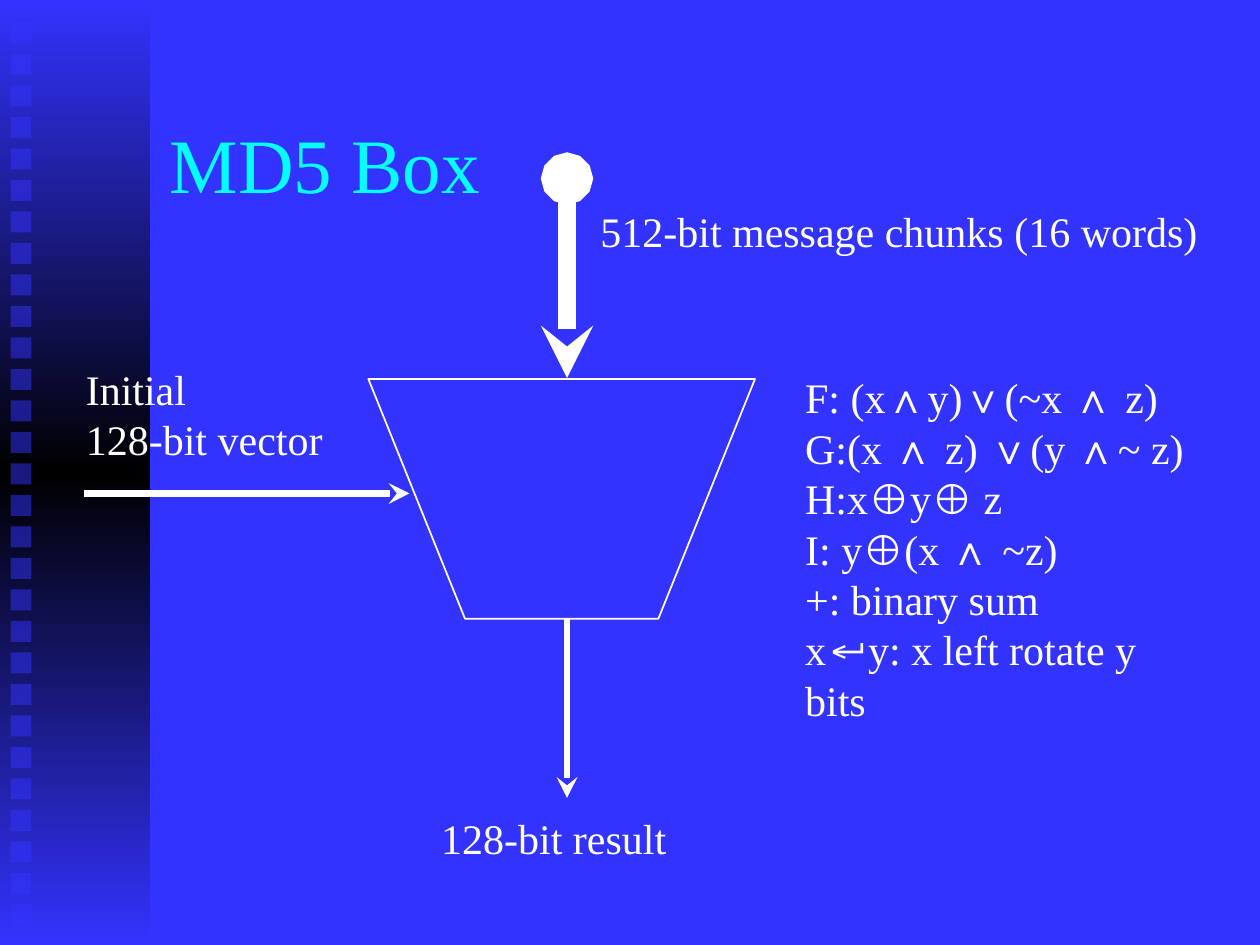
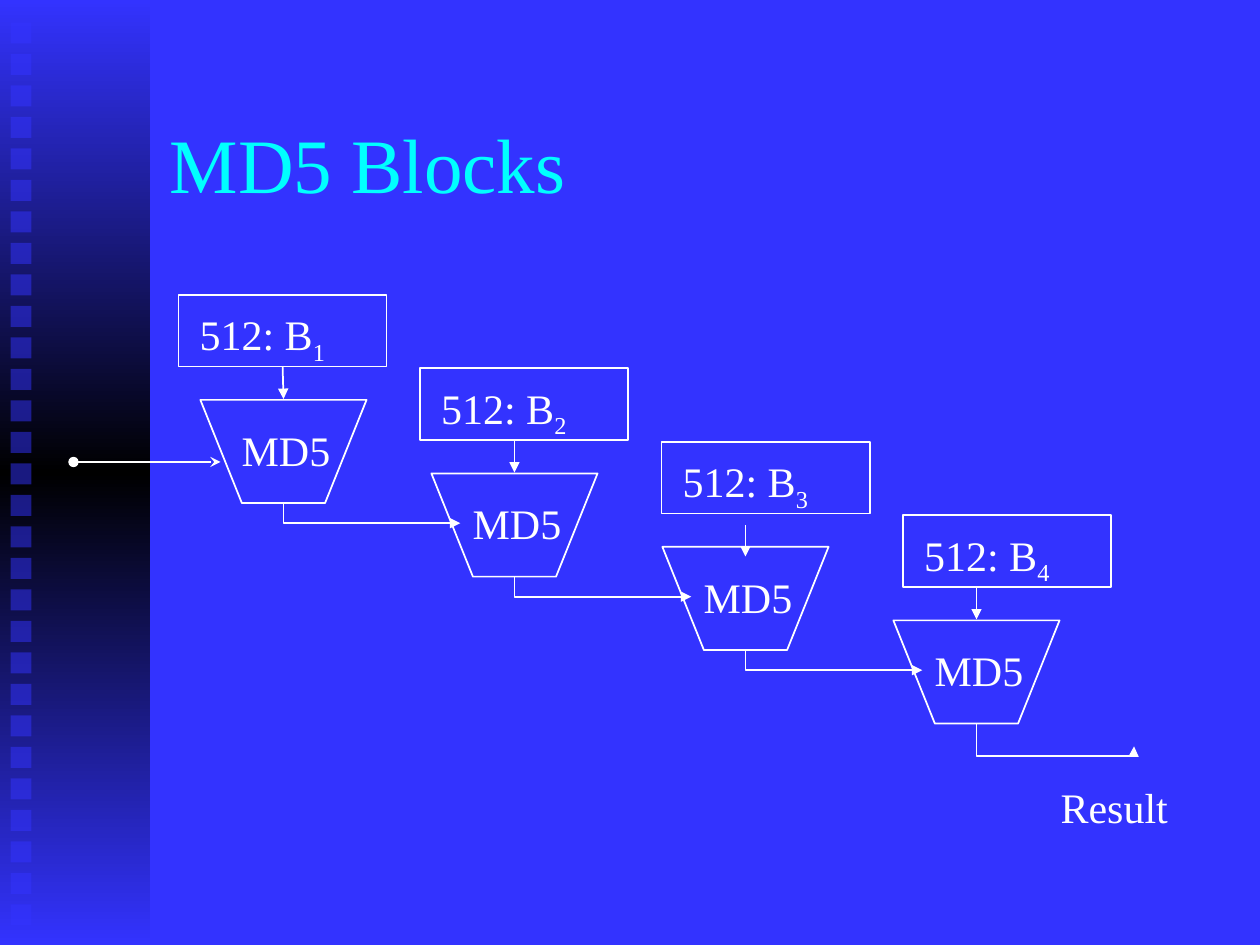
from copy import deepcopy
from itertools import groupby

from pptx import Presentation
from pptx.dml.color import RGBColor
from pptx.enum.shapes import MSO_CONNECTOR, MSO_SHAPE
from pptx.enum.text import MSO_ANCHOR
from pptx.oxml.ns import qn
from pptx.util import Pt

RECTANGLE = MSO_SHAPE.RECTANGLE
STRAIGHT = MSO_CONNECTOR.STRAIGHT
ELBOW = MSO_CONNECTOR.ELBOW
MIDDLE = MSO_ANCHOR.MIDDLE
TOP = MSO_ANCHOR.TOP

BLUE = "3333FF"
BLACK = "000000"
WHITE = "FFFFFF"
CYAN = "00FFFF"
SERIF = "Times New Roman"
SANS = "Arial"
OPERATORS = "∧∨⊕↵"
BODY = {"size": Pt(24), "name": SERIF}
TITLE = {"size": Pt(44), "name": SERIF}
INSETS = {
    "margin_left": Pt(7.2), "margin_right": Pt(7.2),
    "margin_top": Pt(3.6), "margin_bottom": Pt(3.6),
}
BOTTOM_SIDE = 2
FORMULAS = [
    "F: (x∧y)∨(~x ∧ z)",
    "G:(x ∧ z) ∨(y ∧~ z)",
    "H:x⊕y⊕ z",
    "I: y⊕(x ∧ ~z)",
    "+: binary sum",
    "x↵y: x left rotate y bits",
]


def rgb(colour):
    return RGBColor.from_string(colour)


def apply_format(target, values):
    for name, value in values.items():
        setattr(target, name, value)


def add_run(paragraph, text, style, colour):
    run = paragraph.add_run()
    run.text = text
    apply_format(run.font, style)
    run.font.color.rgb = rgb(colour)
    return run


def add_text(slide, box, lines, style=BODY, colour=WHITE, subscript="",
             wrap=False, anchor=TOP):
    frame = slide.shapes.add_textbox(*map(Pt, box)).text_frame
    apply_format(frame, {**INSETS, "word_wrap": wrap, "vertical_anchor": anchor})
    for index, line in enumerate(lines):
        paragraph = frame.add_paragraph() if index else frame.paragraphs[0]
        for is_operator, letters in groupby(line, lambda letter: letter in OPERATORS):
            font = {**style, "name": SANS} if is_operator else style
            add_run(paragraph, "".join(letters), font, colour)
    if subscript:
        lowered = add_run(paragraph, subscript, style, colour)
        lowered.font._element.set("baseline", "-25000")


def outline(shape):
    shape.shadow.inherit = False
    shape.fill.background()
    shape.line.color.rgb = rgb(WHITE)
    shape.line.width = Pt(1)


def add_frame(slide, box):
    frame = slide.shapes.add_shape(RECTANGLE, *map(Pt, box))
    outline(frame)
    return frame


def add_funnel(slide, left, top, width, height):
    right, bottom, inset = left + width, top + height, width / 4
    builder = slide.shapes.build_freeform(Pt(left), Pt(top))
    corners = [(right, top), (right - inset, bottom), (left + inset, bottom)]
    builder.add_line_segments([(Pt(x), Pt(y)) for x, y in corners], close=True)
    outline(builder.convert_to_shape())


def style_arrow(arrow, weight, tip, origin=None):
    arrow.line.color.rgb = rgb(WHITE)
    arrow.line.width = Pt(weight)
    properties = arrow.element.spPr
    stroke = properties.find(qn("a:ln"))
    for tag, kind in (("a:headEnd", origin), ("a:tailEnd", tip)):
        if kind:
            end = stroke.makeelement(qn(tag), {"type": kind})
            stroke.append(end)
    properties.append(properties.makeelement(qn("a:effectLst"), {}))


def add_arrow(slide, start, end, weight=1, tip="stealth", origin=None):
    arrow = slide.shapes.add_connector(STRAIGHT, *map(Pt, (*start, *end)))
    style_arrow(arrow, weight, tip, origin)
    return arrow


def add_elbow(slide, start, end, bend=None):
    run, drop = end[0] - start[0], end[1] - start[1]
    middle_x, middle_y = start[0] + run / 2, start[1] + drop / 2
    elbow = slide.shapes.add_connector(
        ELBOW, Pt(middle_x + drop / 2), Pt(middle_y - run / 2),
        Pt(middle_x - drop / 2), Pt(middle_y + run / 2))
    properties = elbow.element.spPr
    properties.find(qn("a:xfrm")).set("rot", "16200000")
    geometry = properties.find(qn("a:prstGeom"))
    if bend is None:
        geometry.set("prst", "bentConnector2")
    else:
        guides = geometry.find(qn("a:avLst"))
        if guides is None:
            guides = geometry.makeelement(qn("a:avLst"), {})
            geometry.append(guides)
        guides.append(guides.makeelement(
            qn("a:gd"), {"name": "adj1", "fmla": f"val {round(bend * 100000)}"}))
    style_arrow(elbow, 1, "triangle")


def add_band_shape(slide, box):
    shape = slide.shapes.add_shape(RECTANGLE, *map(Pt, box))
    shape.shadow.inherit = False
    shape.line.fill.background()
    return shape


def decorate_layout(layout, slide):
    for placeholder in list(layout.placeholders):
        layout.shapes.element.remove(placeholder.element)
    background = layout.background.fill
    background.solid()
    background.fore_color.rgb = rgb(BLUE)

    band = add_band_shape(slide, (0, 0, 85.5, 540))
    band.fill.gradient()
    band.fill.gradient_angle = 270
    stops = band.element.spPr.find(".//" + qn("a:gsLst"))
    stops.append(deepcopy(stops[0]))
    for stop, position, colour in zip(
            band.fill.gradient_stops, (0, 0.5, 1), (BLUE, BLACK, BLUE)):
        stop.position = position
        stop.color.rgb = rgb(colour)

    squares = [add_band_shape(slide, (6, 12.8 + 18 * row, 12, 12)) for row in range(29)]
    for square in squares:
        square.fill.solid()
        square.fill.fore_color.rgb = rgb(BLUE)
        tint = square.element.spPr.find(".//" + qn("a:srgbClr"))
        tint.append(tint.makeelement(qn("a:alpha"), {"val": "50000"}))
    for shape in [band, *squares]:
        layout.shapes.element.append(shape.element)


def add_title(slide, title):
    add_text(slide, (90, 48, 612, 90), [title], TITLE, CYAN, wrap=True, anchor=MIDDLE)


def build_box_slide(slide):
    add_title(slide, "MD5 Box")
    add_funnel(slide, 210.5, 216.5, 221, 137)
    add_arrow(slide, (324, 102), (324, 216), 10, origin="oval")
    add_arrow(slide, (48, 282), (234, 282), 4)
    add_arrow(slide, (324, 354), (324, 456), 4)
    add_text(slide, (42, 204, 150, 65), ["Initial", "128-bit vector"])
    add_text(slide, (336, 114, 355.5, 36), ["512-bit message chunks (16 words)"])
    add_text(slide, (245, 461, 143, 36), ["128-bit result"])
    add_text(slide, (453, 209, 240, 180), FORMULAS, wrap=True)


def build_blocks_slide(slide):
    add_title(slide, "MD5 Blocks")
    add_arrow(slide, (42, 264), (126, 264), origin="oval")
    feed_tops = (210, 252, 300, 336)
    last = len(feed_tops) - 1
    for index, feed_top in enumerate(feed_tops):
        stage_x, chunk_x, drop = 132 * index, 138 * index, 42 * index
        add_funnel(slide, 114.5 + stage_x, 228.5 + drop, 95, 59)
        add_text(slide, (131 + stage_x, 239 + drop, 65.5, 36), ["MD5"])
        chunk = add_frame(slide, (102 + chunk_x, 168.5 + drop, 119, 41))
        add_text(slide, (107 + chunk_x, 173 + drop, 86.5, 40), ["512: B"],
                 subscript=str(index + 1))
        axis = 162 + stage_x
        feed = add_arrow(slide, (axis, feed_top), (axis, feed_top + 18), tip="triangle")
        if index == 0:
            feed.begin_connect(chunk, BOTTOM_SIDE)
        outlet = (axis, 287.5 + drop)
        if index < last:
            add_elbow(slide, outlet, (axis + 101, 299 + drop))
        else:
            add_elbow(slide, outlet, (648, 426.5), bend=1.44)
    add_text(slide, (599, 443, 75.5, 36), ["Result"])


def main():
    deck = Presentation()
    deck.slide_width, deck.slide_height = Pt(720), Pt(540)
    blank = deck.slide_layouts[6]
    box_slide, blocks_slide = (deck.slides.add_slide(blank) for _ in range(2))
    decorate_layout(blank, box_slide)
    build_box_slide(box_slide)
    build_blocks_slide(blocks_slide)
    deck.save("out.pptx")


if __name__ == "__main__":
    main()
